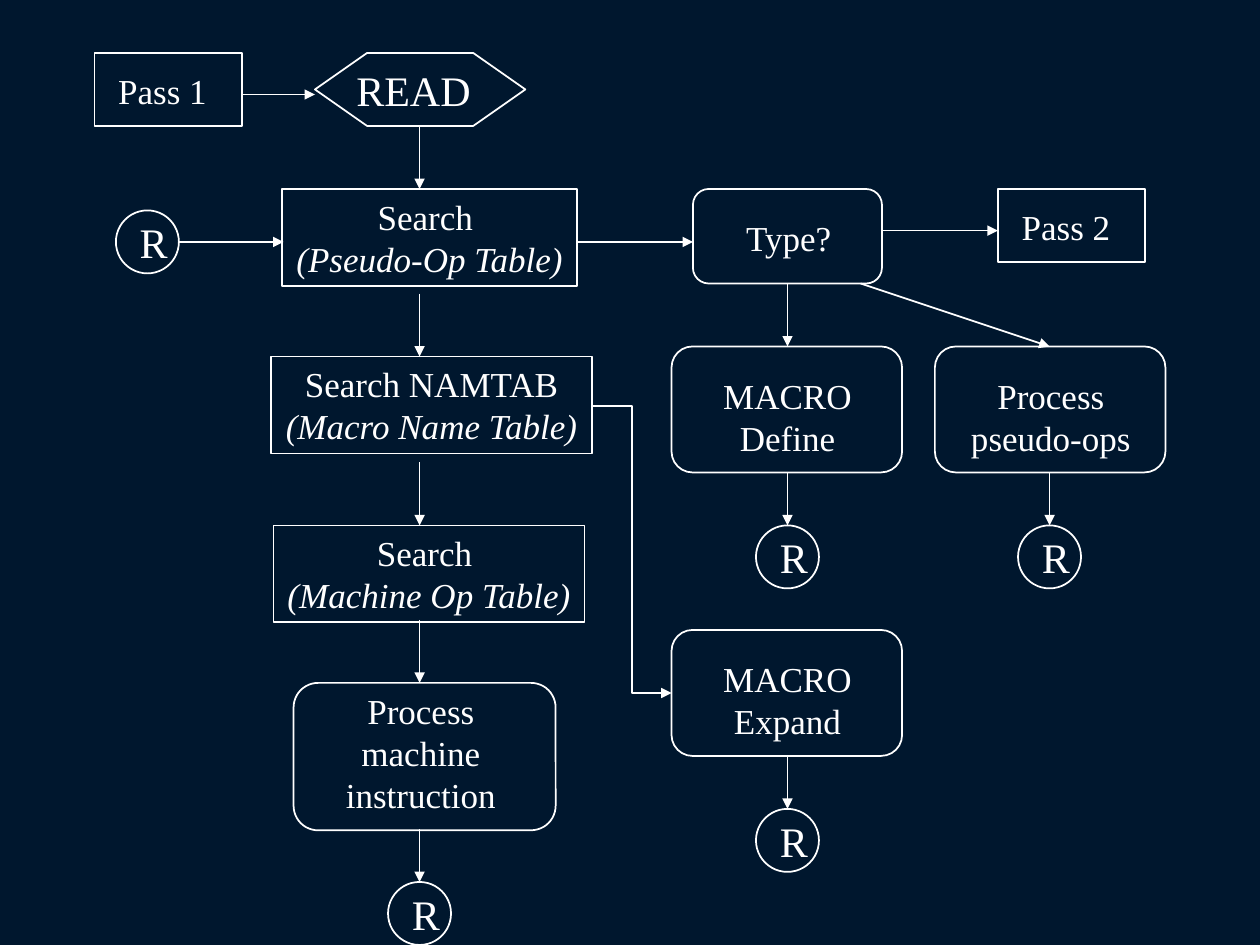
import pptx
import pptx.util
import pptx.dml.color
import pptx.enum.shapes
import pptx.enum.text
import pptx.oxml
import pptx.oxml.ns

Inches = pptx.util.Inches
Shape = pptx.enum.shapes.MSO_SHAPE
Connector = pptx.enum.shapes.MSO_CONNECTOR
Align = pptx.enum.text.PP_ALIGN

COLORS = {"background": "00172E", "ink": "FFFFFF"}
FONT = "Times New Roman"


def color(name):
    return pptx.dml.color.RGBColor.from_string(COLORS[name])


def write(box, text, size=20, align=Align.CENTER, wrap=True, italic_from=None):
    """Fill a box; paragraphs from index italic_from onwards are italic."""
    frame = box.text_frame
    frame.word_wrap = wrap
    frame.auto_size = pptx.enum.text.MSO_AUTO_SIZE.SHAPE_TO_FIT_TEXT
    frame.vertical_anchor = pptx.enum.text.MSO_ANCHOR.TOP
    for index, line in enumerate(text.split("\n")):
        para = frame.add_paragraph() if index else frame.paragraphs[0]
        para.alignment = align
        span = para.add_run()
        span.text = line
        span.font.name = FONT
        span.font.size = pptx.util.Pt(size)
        span.font.color.rgb = color("ink")
        if italic_from is not None and index >= italic_from:
            span.font.italic = True


class Flowchart:
    """Draws flowchart elements in one style on the current page."""

    def __init__(self, page):
        self.page = page
        page.background.fill.solid()
        page.background.fill.fore_color.rgb = color("background")

    def ink(self, line):
        line.color.rgb = color("ink")
        line.width = pptx.util.Pt(1)

    def outline(self, kind, *place):
        shape = self.page.shapes.add_shape(kind, *map(Inches, place))
        shape.shadow.inherit = False
        shape.fill.background()
        self.ink(shape.line)
        return shape

    def label(self, text, *place, **style):
        write(self.page.shapes.add_textbox(*map(Inches, place)), text, **style)

    def hexagon(self, text):
        self.label(text, 2.73, 0.46, 1.11, 0.5, size=24, align=Align.LEFT, wrap=False)
        self.outline(Shape.HEXAGON, 2.5, 0.42, 1.67, 0.58).adjustments[0] = 0.714

    def search(self, text, left, top, width):
        box = self.outline(Shape.RECTANGLE, left, top, width, 0.77)
        write(box, text, wrap=False, italic_from=1)

    def process(self, text, place, label_place):
        self.outline(Shape.ROUNDED_RECTANGLE, *place)
        self.label(text, *label_place)

    def action(self, text, left, top):
        self.process(text, (left, top, 1.83, 1), (left + 0.08, top + 0.17, 1.68, 0.77))

    def stage(self, text, left, top, label_drop):
        self.label(text, left, top + label_drop, 1.08, 0.44)
        self.outline(Shape.RECTANGLE, left, top, 1.17, 0.58)

    def return_point(self, left, top):
        self.outline(Shape.OVAL, left, top, 0.5, 0.5)
        self.label("R", left + 0.09, top, 0.42, 0.5, size=24, align=Align.LEFT, wrap=False)

    def arrow(self, *ends, kind=Connector.STRAIGHT):
        arrow = self.page.shapes.add_connector(kind, *map(Inches, ends))
        self.ink(arrow.line)
        line = arrow.line._get_or_add_ln()
        line.append(pptx.oxml.parse_xml(
            '<a:tailEnd type="triangle" %s/>' % pptx.oxml.ns.nsdecls("a")))
        line.addnext(pptx.oxml.parse_xml(
            "<a:effectLst %s/>" % pptx.oxml.ns.nsdecls("a")))


def main():
    deck = pptx.Presentation()
    deck.slide_width, deck.slide_height = Inches(10), Inches(7.5)
    chart = Flowchart(deck.slides.add_slide(deck.slide_layouts[6]))

    chart.stage("Pass 1", 0.75, 0.42, 0.08)
    chart.stage("Pass 2", 7.92, 1.5, 0.08)
    chart.hexagon("READ")

    chart.search("Search \n(Pseudo-Op Table)", 2.24, 1.5, 2.34)
    chart.search("Search NAMTAB\n(Macro Name Table)", 2.15, 2.83, 2.55)
    chart.search("Search \n(Machine Op Table)", 2.17, 4.17, 2.47)

    chart.process("Process machine instruction",
                  (2.33, 5.42, 2.08, 1.17), (2.5, 5.42, 1.68, 1.1))
    chart.process("Type?", (5.5, 1.5, 1.5, 0.75), (5.42, 1.67, 1.68, 0.44))
    chart.action("MACRO\nDefine", 5.33, 2.75)
    chart.action("Process\npseudo-ops", 7.42, 2.75)
    chart.action("MACRO\nExpand", 5.33, 5)

    for left, top in [(0.92, 1.67), (3.08, 7), (6, 4.17), (8.08, 4.17), (6, 6.42)]:
        chart.return_point(left, top)

    down_arrows = {
        3.33: [(1, 1.5), (2.33, 2.83), (3.67, 4.17), (4.92, 5.42), (6.58, 7)],
        6.25: [(2.25, 2.75), (3.75, 4.17), (6, 6.42)],
        8.33: [(3.75, 4.17)],
    }
    for x, spans in down_arrows.items():
        for top, bottom in spans:
            chart.arrow(x, top, x, bottom)

    right_arrows = [(0.75, 1.92, 2.5), (1.92, 1.42, 2.25), (1.92, 4.58, 5.5), (1.83, 7, 7.92)]
    for y, start, end in right_arrows:
        chart.arrow(start, y, end, y)

    chart.arrow(6.83, 2.25, 8.33, 2.75)
    chart.arrow(4.7, 3.22, 5.33, 5.5, kind=Connector.ELBOW)

    deck.save("out.pptx")


if __name__ == "__main__":
    main()
